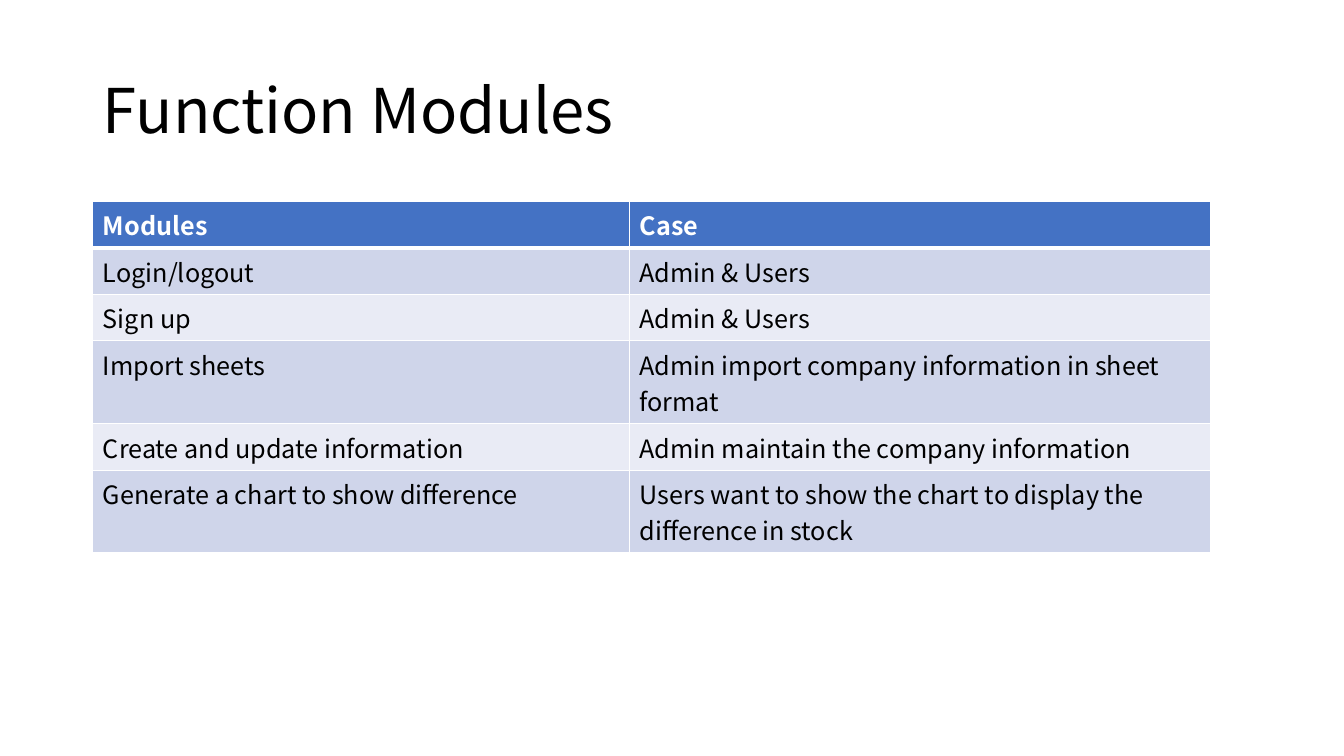
from lxml import etree
from pptx import Presentation
from pptx import util as u
from pptx.dml.color import RGBColor
from pptx.enum import text
from pptx.oxml import ns

BLACK = RGBColor(0x00, 0x00, 0x00)
WHITE = RGBColor(0xFF, 0xFF, 0xFF)
HEADER_BLUE = RGBColor(0x44, 0x72, 0xC4)
BANDS = (RGBColor(0xE9, 0xEB, 0xF5), RGBColor(0xCF, 0xD5, 0xEA))
FONT = "Noto Sans CJK SC"

MODULES = (
    ("Modules", "Case"),
    ("Login/logout", "Admin & Users"),
    ("Sign up", "Admin & Users"),
    ("Import sheets", "Admin import company information in sheet format"),
    ("Create and update information", "Admin maintain the company information"),
    ("Generate a chart to show difference",
     "Users want to show the chart to display the difference in stock"),
)
COLUMN_SHARES = (0.48, 0.52)
ROW_SHARES = (0.132, 0.132, 0.132, 0.236, 0.132, 0.236)


def write_text(para, words, color, **formats):
    """Add one run to a paragraph with the given font values."""
    span = para.add_run()
    span.text = words
    for name, value in {"name": FONT, **formats}.items():
        setattr(span.font, name, value)
    span.font.color.rgb = color


def add_title(page, left, top, width, height):
    """Place the heading, vertically centred in its box."""
    frame = page.shapes.add_textbox(left, top, width, height).text_frame
    frame.word_wrap = True
    frame.vertical_anchor = text.MSO_ANCHOR.MIDDLE
    para = frame.paragraphs[0]
    para.line_spacing = 0.9
    write_text(para, "Function Modules", BLACK, size=u.Pt(44))


def set_borders(cell, widths):
    """Draw white cell borders, widths in points keyed by side."""
    properties = cell._tc.get_or_add_tcPr()
    for position, (side, width) in enumerate(widths.items()):
        line = etree.Element(ns.qn(f"a:ln{side}"), w=str(u.Pt(width)))
        fill = etree.SubElement(line, ns.qn("a:solidFill"))
        etree.SubElement(fill, ns.qn("a:srgbClr"), val=str(WHITE))
        properties.insert(position, line)


def add_modules_table(page, left, top, width, height):
    """Place the table of modules and their cases."""
    table = page.shapes.add_table(
        len(MODULES), len(COLUMN_SHARES), left, top, width, height).table
    for column, share in zip(table.columns, COLUMN_SHARES):
        column.width = round(width * share)
    for row, share in zip(table.rows, ROW_SHARES):
        row.height = round(height * share)
    for row, entries in enumerate(MODULES):
        header = row == 0
        for column, words in enumerate(entries):
            cell = table.cell(row, column)
            cell.fill.solid()
            cell.fill.fore_color.rgb = HEADER_BLUE if header else BANDS[row % 2]
            set_borders(cell, {"L": 1, "R": 1, "T": 3 if row == 1 else 1,
                               "B": 3 if header else 1})
            write_text(cell.text_frame.paragraphs[0], words,
                       WHITE if header else BLACK, size=u.Pt(18), bold=header)


def main():
    """Build the slide and save the deck."""
    deck = Presentation()
    deck.slide_width, deck.slide_height = u.Cm(33.87), u.Cm(19.05)
    page = deck.slides.add_slide(deck.slide_layouts[6])
    left = u.Cm(2.34)
    add_title(page, left, u.Cm(1.01), u.Cm(29.21), u.Cm(3.68))
    add_modules_table(page, left, u.Cm(5.08), u.Cm(28.18), u.Cm(8.86))
    deck.save("out.pptx")


if __name__ == "__main__":
    main()
